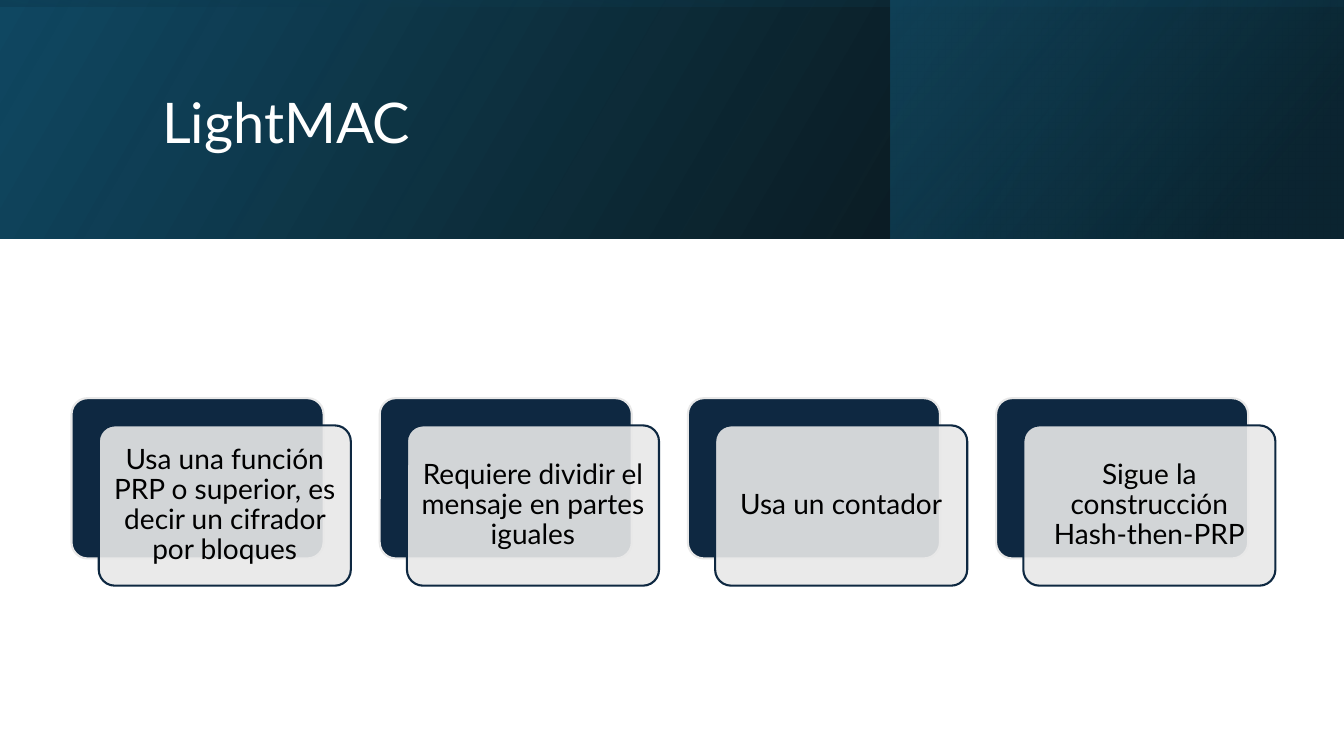
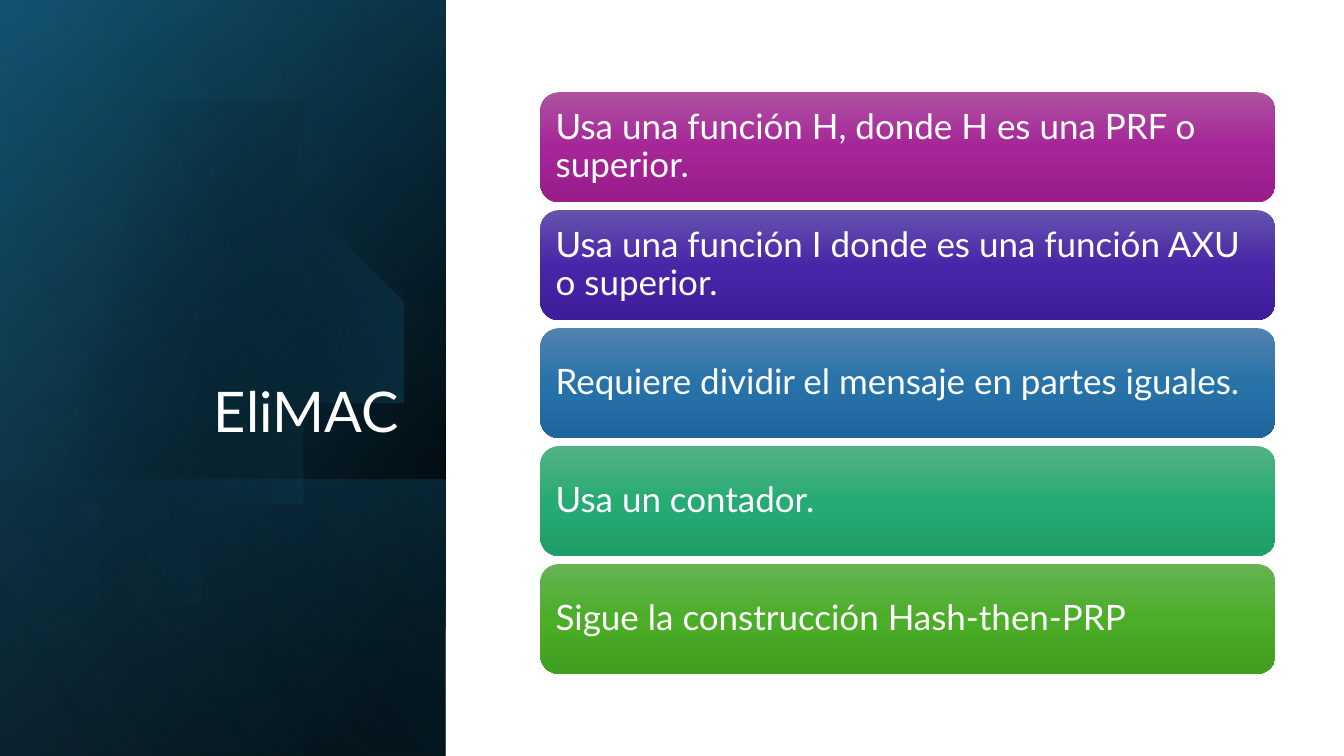
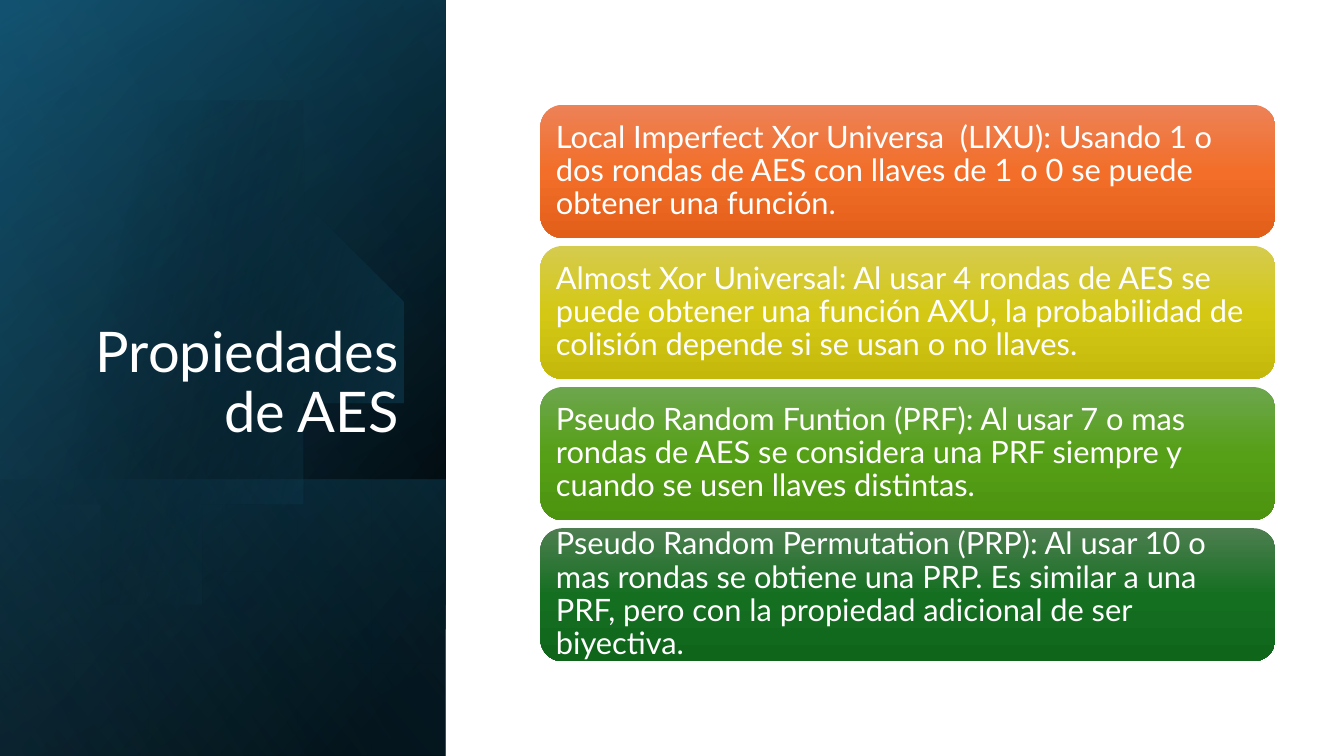
from dataclasses import dataclass

from lxml.etree import SubElement
from pptx import Presentation
from pptx.dml.color import RGBColor
from pptx.enum.shapes import MSO_SHAPE
from pptx.enum.text import MSO_ANCHOR, PP_ALIGN
from pptx.oxml.ns import qn
from pptx.util import Inches, Pt


@dataclass(frozen=True)
class Theme:
    font: str = "Lato"
    white: str = "FFFFFF"
    black: str = "000000"
    navy: str = "0E2841"
    deep_blue: str = "104862"
    teal: str = "156082"
    night: str = "0B3041"
    sky: str = "46B1E1"
    pale: str = "E8E8E8"
    title_size: int = 40
    card_size: int = 20
    line_spacing: float = 0.9
    outline: float = 1.5


THEME = Theme()
SLIDE_W, SLIDE_H = 13.33, 7.5

CARDS_TITLE = "LightMAC"
CARDS = [
    "Usa una función PRP o superior, es decir un cifrador por bloques",
    "Requiere dividir el mensaje en partes iguales",
    "Usa un contador",
    "Sigue la construcción Hash-then-PRP",
]

# Each bar: text, then its colours from top to bottom
BAR_SLIDES = [
    dict(title="EliMAC", size=25, inset=0.1, height=1.09, bars=[
        ("Usa una función H, donde H es una PRF o superior.",
         ("AC53A0", "A62598", "991C8B")),
        ("Usa una función I donde es una función AXU o superior.",
         ("6553AE", "4926A8", "3E1C9A")),
        ("Requiere dividir el mensaje en partes iguales.",
         ("5382AF", "2772A9", "1D669C")),
        ("Usa un contador.",
         ("54B183", "27AB74", "1E9E68")),
        ("Sigue la construcción Hash-then-PRP",
         ("66B354", "4BAD28", "409F1E")),
    ]),
    dict(title="Propiedades de AES", size=22, inset=0.09, height=1.32, bars=[
        ("Local Imperfect Xor Universa  (LIXU): Usando 1 o dos rondas de AES "
         "con llaves de 1 o 0 se puede obtener una función.",
         ("ED8257", "F26E29", "E25F1A")),
        ("Almost Xor Universal: Al usar 4 rondas de AES se puede obtener una "
         "función AXU, la probabilidad de colisión depende si se usan o no llaves.",
         ("D5CB4E", "D4C815", "C4B90B")),
        ("Pseudo Random Funtion (PRF): Al usar 7 o mas rondas de AES se considera "
         "una PRF siempre y cuando se usen llaves distintas.",
         ("6DA64E", "56A017", "4C930F")),
        ("Pseudo Random Permutation (PRP): Al usar 10 o mas rondas se obtiene una "
         "PRP. Es similar a una PRF, pero con la propiedad adicional de ser biyectiva.",
         ("4D7E50", "156F21", "0F661B")),
    ]),
]

# Layers: visible box, rotation, gradient angle, stops (position, colour, opacity)
HEADER_H, SIDE_W = 2.37, 4.42
HEADER_BOX = (0, 0, SLIDE_W, HEADER_H)
SIDE_BOX = (0, 0, SIDE_W, SLIDE_H)
HEADER_LAYERS = [
    (HEADER_BOX, 0, 330, [(0, THEME.black, 96), (100, THEME.deep_blue, 100)]),
    ((8.83, 0, 4.5, HEADER_H), 0, 320, [(19, THEME.night, 68), (100, THEME.teal, 48)]),
    (HEADER_BOX, 270, 350, [(23, THEME.deep_blue, 16), (99, THEME.black, 45)]),
]
SIDE_LAYERS = [
    (SIDE_BOX, 90, 50, [(8, THEME.black, 100), (100, THEME.deep_blue, 100)]),
    (SIDE_BOX, 90, 30, [(0, THEME.black, 0), (99, THEME.teal, 46)]),
    ((0, 4.76, SIDE_W, 2.74), 90, 130, [(2, THEME.teal, 29), (100, THEME.black, 30)]),
]
SIDE_GLOW = (SIDE_BOX, 90, 120, [(0, THEME.black, 0), (99, THEME.sky, 11)])

# Disc outline: start, then curves (two controls and an end) or straight ends
DISC_START = (1.49, 1.1)
DISC_SEGMENTS = [
    [(2.46, 1.12), (3.35, 1.77), (3.63, 2.75)],
    [(3.98, 3.97), (3.28, 5.23), (2.07, 5.58)],
    [(1.31, 5.8), (0.53, 5.61), (-0.03, 5.14)],
    [(-0.15, 5.03)],
    [(-0.15, 1.75)],
    [(0, 1.61)],
    [(0.23, 1.42), (0.5, 1.28), (0.8, 1.19)],
    [(1.03, 1.13), (1.26, 1.1), (1.49, 1.1)],
]
DISC_STOPS = [(29, THEME.black, 0), (100, THEME.teal, 43)]
DISC_ANGLE = 14
CURVE_STEPS = 24


def set_opacity(color_element, percent):
    if percent < 100:
        SubElement(color_element, qn("a:alpha")).set("val", str(percent * 1000))


def fill_gradient(shape, stops, angle):
    """Fill with (position, colour, opacity) stops; the angle runs clockwise."""
    shape.fill.gradient()
    shape.fill.gradient_angle = (360 - angle) % 360
    stop_list = shape.element.spPr.find(qn("a:gradFill")).find(qn("a:gsLst"))
    for default_stop in list(stop_list):
        stop_list.remove(default_stop)
    for position, color, opacity in stops:
        stop = SubElement(stop_list, qn("a:gs"))
        stop.set("pos", str(position * 1000))
        color_element = SubElement(stop, qn("a:srgbClr"))
        color_element.set("val", color)
        set_opacity(color_element, opacity)


def fill_solid(shape, color, opacity=100):
    shape.fill.solid()
    shape.fill.fore_color.rgb = RGBColor.from_string(color)
    solid = shape.element.spPr.find(qn("a:solidFill"))
    set_opacity(solid.find(qn("a:srgbClr")), opacity)


def add_box(slide, box, kind=MSO_SHAPE.RECTANGLE, line=None):
    shape = slide.shapes.add_shape(kind, *map(Inches, box))
    shape.shadow.inherit = False
    if line:
        shape.line.color.rgb = RGBColor.from_string(line)
        shape.line.width = Pt(THEME.outline)
    else:
        shape.line.fill.background()
    return shape


def write_text(shape, text, *, size, color=THEME.white, align=PP_ALIGN.LEFT,
               anchor=MSO_ANCHOR.MIDDLE, inset=None):
    frame = shape.text_frame
    frame.word_wrap = True
    frame.vertical_anchor = anchor
    if inset is not None:
        frame.margin_left = frame.margin_right = Inches(inset)
        frame.margin_top = frame.margin_bottom = Inches(inset)
    paragraph = frame.paragraphs[0]
    paragraph.alignment = align
    paragraph.line_spacing = THEME.line_spacing
    run = paragraph.add_run()
    run.text = text
    run.font.name = THEME.font
    run.font.size = Pt(size)
    run.font.color.rgb = RGBColor.from_string(color)


def add_title(slide, text, box, **text_format):
    title = slide.shapes.add_textbox(*map(Inches, box))
    write_text(title, text, size=THEME.title_size, **text_format)


def add_layer(slide, visible_box, rotation, angle, stops):
    """Add a mirrored gradient rectangle that covers visible_box once rotated."""
    left, top, width, height = visible_box
    if rotation % 180:
        left, top = left + (width - height) / 2, top + (height - width) / 2
        width, height = height, width
    layer = add_box(slide, (left, top, width, height))
    layer.rotation = rotation
    layer.element.spPr.find(qn("a:xfrm")).set("flipH", "1")
    fill_gradient(layer, stops, angle)


def bezier_points(start, first, second, end):
    for step in range(1, CURVE_STEPS + 1):
        t = step / CURVE_STEPS
        weights = ((1 - t) ** 3, 3 * t * (1 - t) ** 2, 3 * t * t * (1 - t), t ** 3)
        yield tuple(sum(w * point[axis] for w, point in
                        zip(weights, (start, first, second, end)))
                    for axis in (0, 1))


def add_disc(slide):
    outline = [DISC_START]
    for segment in DISC_SEGMENTS:
        curved = len(segment) == 3
        outline += list(bezier_points(outline[-1], *segment)) if curved else segment
    builder = slide.shapes.build_freeform(*DISC_START, scale=Inches(1))
    builder.add_line_segments(outline[1:], close=True)
    disc = builder.convert_to_shape()
    disc.shadow.inherit = False
    disc.line.fill.background()
    fill_gradient(disc, DISC_STOPS, DISC_ANGLE)


def build_cards_slide(slide):
    for layer in HEADER_LAYERS:
        add_layer(slide, *layer)
    add_title(slide, CARDS_TITLE, (1.51, 0.38, 10.63, 1.72))

    left, right, top = 0.71, 12.65, 3.95
    width, height, offset = 2.5, 1.59, 0.27
    pitch = (right - left - width - offset) / (len(CARDS) - 1)
    for column, text in enumerate(CARDS):
        x = left + column * pitch
        back = add_box(slide, (x, top, width, height),
                       MSO_SHAPE.ROUNDED_RECTANGLE, THEME.pale)
        fill_solid(back, THEME.navy)
        front = add_box(slide, (x + offset, top + offset, width, height),
                        MSO_SHAPE.ROUNDED_RECTANGLE, THEME.navy)
        fill_solid(front, THEME.pale, opacity=90)
        for card in (back, front):
            card.adjustments[0] = 0.1
        write_text(front, text, size=THEME.card_size, color=THEME.black,
                   align=PP_ALIGN.CENTER, inset=0.08)


def build_bars_slide(slide, title, size, inset, height, bars):
    for layer in SIDE_LAYERS:
        add_layer(slide, *layer)
    add_disc(slide)
    add_layer(slide, *SIDE_GLOW)
    add_title(slide, title, (0.64, 1.84, 3.41, 2.62),
              align=PP_ALIGN.RIGHT, anchor=MSO_ANCHOR.BOTTOM)

    left, width, middle, gap = 5.36, 7.29, 3.8, 0.08
    pitch = height + gap
    top = middle - (len(bars) * pitch - gap) / 2
    for row, (text, colors) in enumerate(bars):
        bar = add_box(slide, (left, top + row * pitch, width, height),
                      MSO_SHAPE.ROUNDED_RECTANGLE)
        fill_gradient(bar, [(50 * i, color, 100) for i, color in enumerate(colors)], 90)
        write_text(bar, text, size=size, inset=inset)


def main():
    deck = Presentation()
    deck.slide_width, deck.slide_height = Inches(SLIDE_W), Inches(SLIDE_H)
    blank = deck.slide_layouts[6]
    build_cards_slide(deck.slides.add_slide(blank))
    for content in BAR_SLIDES:
        build_bars_slide(deck.slides.add_slide(blank), **content)
    deck.save("out.pptx")


if __name__ == "__main__":
    main()
